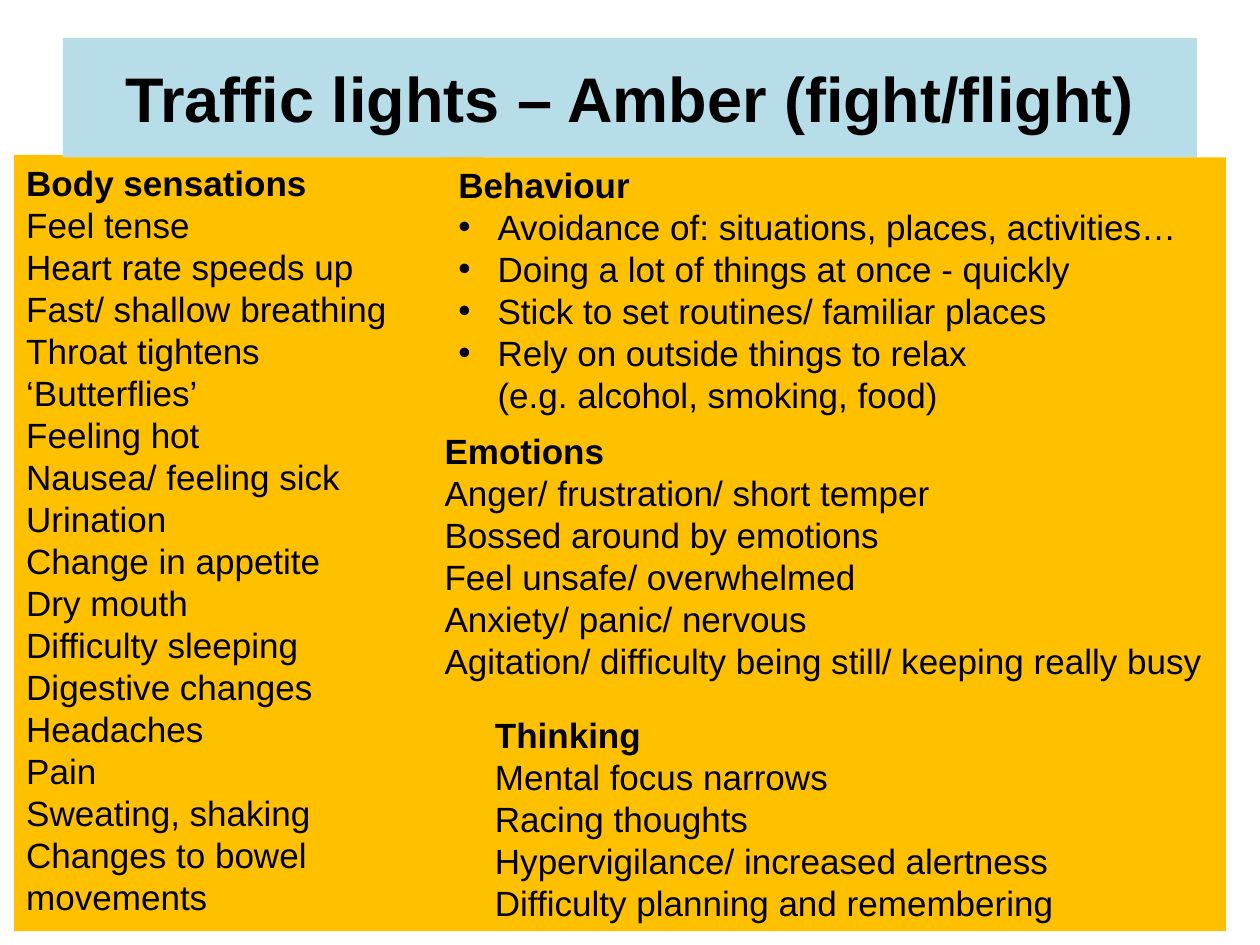
from dataclasses import dataclass

from lxml.etree import SubElement
from pptx import Presentation
from pptx.dml.color import RGBColor as RGB
from pptx.enum.text import MSO_ANCHOR as Anchor, PP_ALIGN as Align
from pptx.oxml.ns import qn
from pptx.util import Inches, Pt


@dataclass(frozen=True)
class Theme:
    font: str = "Arial"
    ink: RGB = RGB(0x00, 0x00, 0x00)
    amber: RGB = RGB(0xFF, 0xC0, 0x00)
    banner: RGB = RGB(0xB7, 0xDE, 0xE8)
    title_size: int = 36
    body_size: int = 20


THEME = Theme()
BULLET_INDENT = Inches(0.31)

BODY_SENSATIONS = [
    "Feel tense", "Heart rate speeds up", "Fast/ shallow breathing",
    "Throat tightens", "‘Butterflies’", "Feeling hot",
    "Nausea/ feeling sick", "Urination", "Change in appetite", "Dry mouth",
    "Difficulty sleeping", "Digestive changes", "Headaches", "Pain",
    "Sweating, shaking", "Changes to bowel movements",
]
BEHAVIOUR = [
    "Avoidance of: situations, places, activities…",
    "Doing a lot of things at once - quickly",
    "Stick to set routines/ familiar places",
    "Rely on outside things to relax\n(e.g. alcohol, smoking, food)",
]
EMOTIONS = [
    "Anger/ frustration/ short temper", "Bossed around by emotions",
    "Feel unsafe/ overwhelmed", "Anxiety/ panic/ nervous",
    "Agitation/ difficulty being still/ keeping really busy",
]
THINKING = [
    "Mental focus narrows", "Racing thoughts",
    "Hypervigilance/ increased alertness",
    "Difficulty planning and remembering",
]


def add_bullet(paragraph):
    properties = paragraph._p.get_or_add_pPr()
    properties.set("marL", str(BULLET_INDENT))
    properties.set("indent", str(-BULLET_INDENT))
    SubElement(properties, qn("a:buFont"), typeface=THEME.font)
    SubElement(properties, qn("a:buChar"), char="•")


def write(paragraph, text, size=THEME.body_size, bold=False,
          align=Align.LEFT, bulleted=False):
    paragraph.text = text
    paragraph.alignment = align
    if bulleted:
        add_bullet(paragraph)
    for run in paragraph.runs:
        run.font.name = THEME.font
        run.font.size = Pt(size)
        run.font.bold = bold
        run.font.color.rgb = THEME.ink


def add_box(slide, left, top, width, height, color, anchor=Anchor.TOP):
    box = slide.shapes.add_textbox(
        Inches(left), Inches(top), Inches(width), Inches(height))
    box.fill.solid()
    box.fill.fore_color.rgb = color
    box.text_frame.word_wrap = True
    box.text_frame.vertical_anchor = anchor
    return box.text_frame


def add_title(slide, text):
    banner = add_box(slide, 0.5, 0.3, 9, 0.95, THEME.banner, Anchor.MIDDLE)
    write(banner.paragraphs[0], text, size=THEME.title_size, bold=True,
          align=Align.CENTER)


def add_panel(slide, place, heading, signs, bulleted=False):
    panel = add_box(slide, *place, THEME.amber)
    write(panel.paragraphs[0], heading, bold=True)
    for sign in signs:
        write(panel.add_paragraph(), sign, bulleted=bulleted)


def main():
    deck = Presentation()
    deck.slide_width, deck.slide_height = Inches(10), Inches(7.5)
    slide = deck.slides.add_slide(deck.slide_layouts[6])

    # Left column, which the title banner overlaps
    add_panel(slide, (0.11, 1.23, 3.73, 6.16), "Body sensations",
              BODY_SENSATIONS)
    add_title(slide, "Traffic lights – Amber (fight/flight)")

    # Right column, each panel over the end of the one above
    add_panel(slide, (3.54, 1.25, 6.19, 2.46), "Behaviour", BEHAVIOUR,
              bulleted=True)
    add_panel(slide, (3.43, 3.36, 6.3, 2.46), "Emotions", EMOTIONS)
    add_panel(slide, (3.83, 5.61, 5.9, 1.78), "Thinking", THINKING)

    deck.save("out.pptx")


if __name__ == "__main__":
    main()
